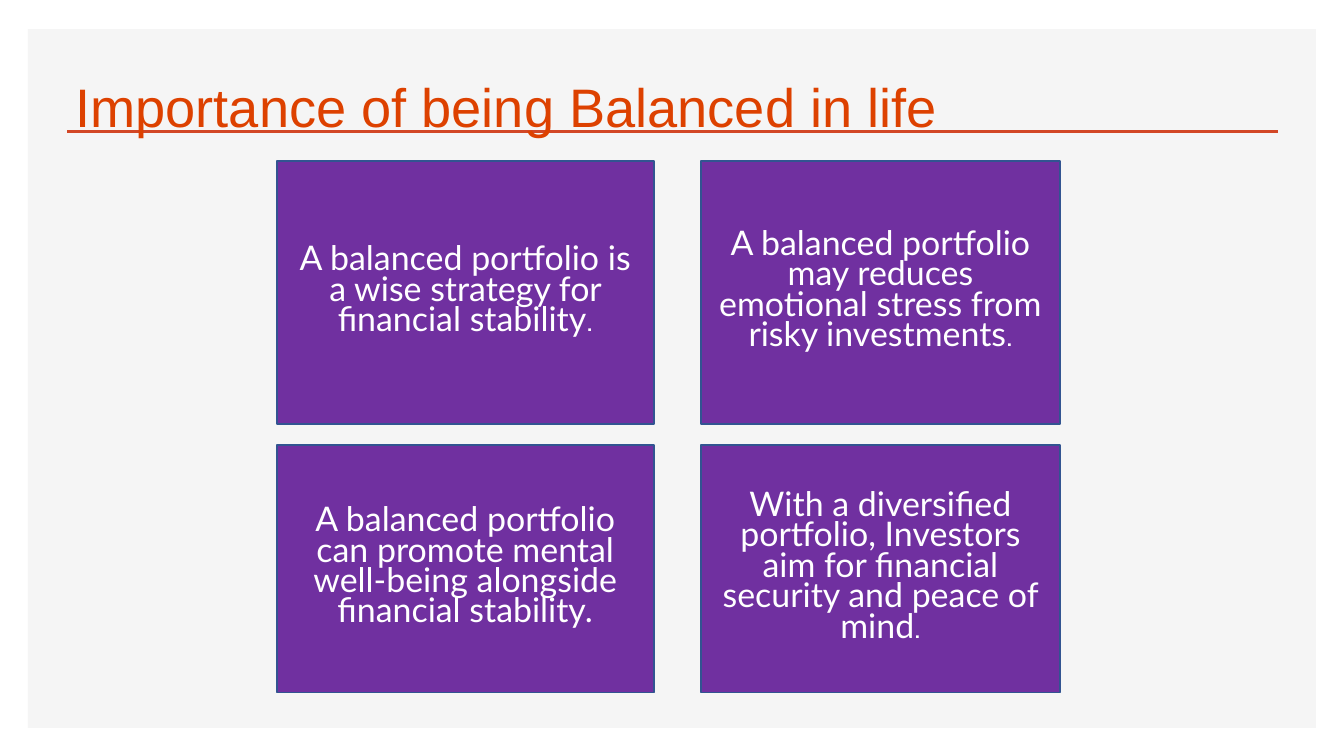
import pptx
import pptx.dml.color
import pptx.enum.shapes
import pptx.enum.text
import pptx.oxml
import pptx.oxml.ns
import pptx.util
from pptx.util import Inches, Pt

ORANGE_LINE = "D24726"
BODY = {"name": "Lato", "size": Pt(20)}
FULL_STOP = {"name": "Cabin", "size": Pt(18)}
TITLE = {"name": "Arial", "size": Pt(32)}

# Each column and row is a start and an extent in inches.
COLUMNS = [(2.27, 3.09), (5.75, 2.94)]
ROWS = [(1.32, 2.16), (3.65, 2.03)]
CARDS = [
    [
        [("A balanced portfolio is a wise strategy for financial stability", BODY),
         (".", FULL_STOP)],
        [("A balanced portfolio may reduces emotional stress from risky investments", BODY),
         (".", FULL_STOP)],
    ],
    [
        [("A balanced portfolio can promote mental well-being alongside financial stability.",
          BODY)],
        [("With a diversified portfolio, Investors aim for financial security and peace of mind",
          BODY),
         (".", FULL_STOP)],
    ],
]


def color(hex_value):
    return pptx.dml.color.RGBColor.from_string(hex_value)


def set_attributes(target, values):
    for name, value in values.items():
        setattr(target, name, value)


def add_run(paragraph, text, font_values, hex_value):
    run = paragraph.add_run()
    run.text = text
    set_attributes(run.font, font_values)
    run.font.color.rgb = color(hex_value)


def add_rectangle(slide, left, top, width, height, fill, line=None):
    shape = slide.shapes.add_shape(
        pptx.enum.shapes.MSO_SHAPE.RECTANGLE,
        Inches(left), Inches(top), Inches(width), Inches(height))
    shape.shadow.inherit = False
    shape.fill.solid()
    shape.fill.fore_color.rgb = color(fill)
    if line:
        shape.line.color.rgb = color(line)
        shape.line.width = Pt(1)
    else:
        shape.line.fill.background()
    return shape


def add_rule(slide, left, right, top):
    connector = slide.shapes.add_connector(
        pptx.enum.shapes.MSO_CONNECTOR.STRAIGHT,
        Inches(left), Inches(top), Inches(right), Inches(top))
    connector.line.color.rgb = color(ORANGE_LINE)
    connector.line.width = Pt(2)
    properties = connector._element.spPr
    properties.append(pptx.oxml.parse_xml(
        f"<a:effectLst {pptx.oxml.ns.nsdecls('a')}/>"))


def add_title(slide, text):
    box = slide.shapes.add_textbox(Inches(0.52), Inches(0.46), Inches(9.93), Inches(0.53))
    set_attributes(box.text_frame, {"word_wrap": True, "margin_top": Inches(0.09)})
    paragraph = box.text_frame.paragraphs[0]
    paragraph.line_spacing = 1.1
    add_run(paragraph, text, TITLE, "DD4100")


def add_card(slide, column, row, runs):
    (left, width), (top, height) = column, row
    card = add_rectangle(slide, left, top, width, height, "7030A0", "325491")
    set_attributes(card.text_frame, {
        "word_wrap": True,
        "vertical_anchor": pptx.enum.text.MSO_ANCHOR.MIDDLE,
    })
    paragraph = card.text_frame.paragraphs[0]
    set_attributes(paragraph, {
        "alignment": pptx.enum.text.PP_ALIGN.CENTER,
        "line_spacing": Pt(18),
        "space_after": Pt(6),
    })
    for text, font_values in runs:
        add_run(paragraph, text, font_values, "FFFFFF")


def main():
    presentation = pptx.Presentation()
    set_attributes(presentation, {"slide_width": Inches(11.02), "slide_height": Inches(6.2)})
    slide = presentation.slides.add_slide(presentation.slide_layouts[6])
    add_rectangle(slide, 0.23, 0.24, 10.56, 5.73, "F5F5F5")
    add_rule(slide, 0.55, 10.48, 1.08)
    add_title(slide, "Importance of being Balanced in life")
    for row, row_cards in zip(ROWS, CARDS):
        for column, runs in zip(COLUMNS, row_cards):
            add_card(slide, column, row, runs)
    presentation.save("out.pptx")


if __name__ == "__main__":
    main()
